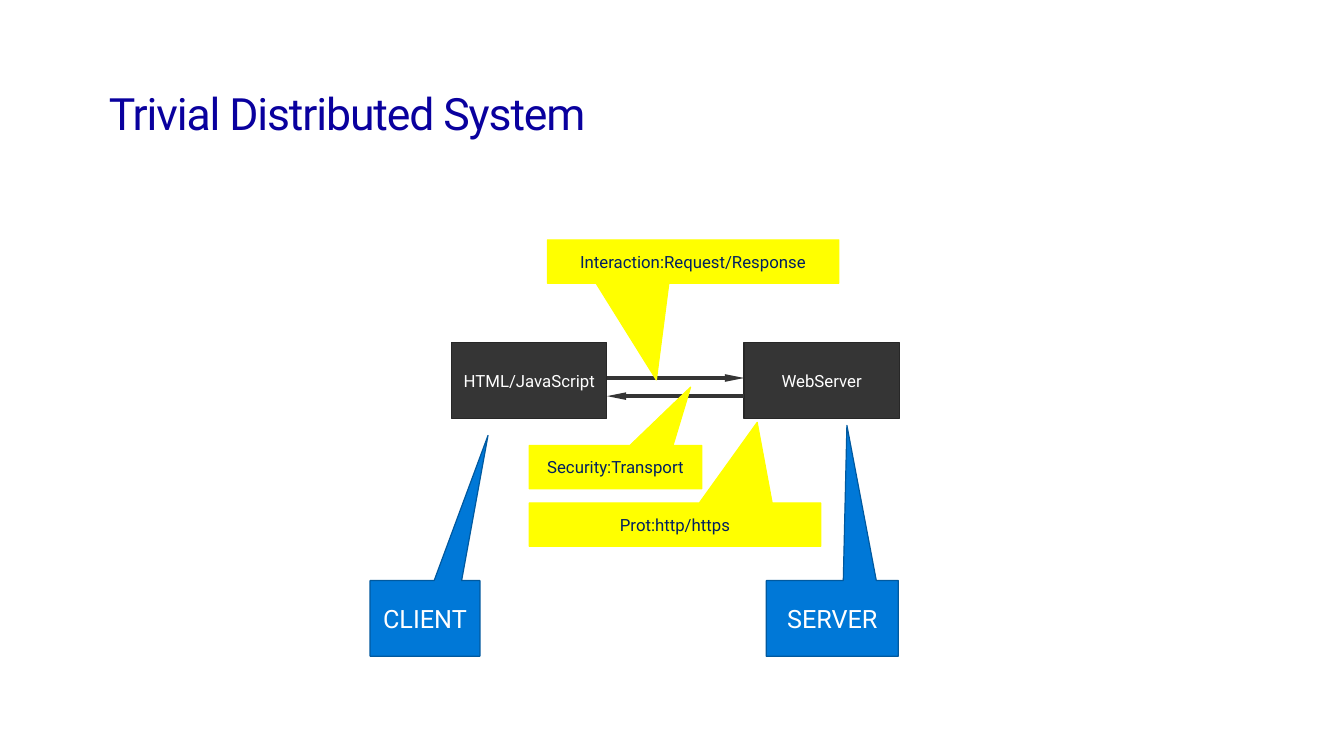
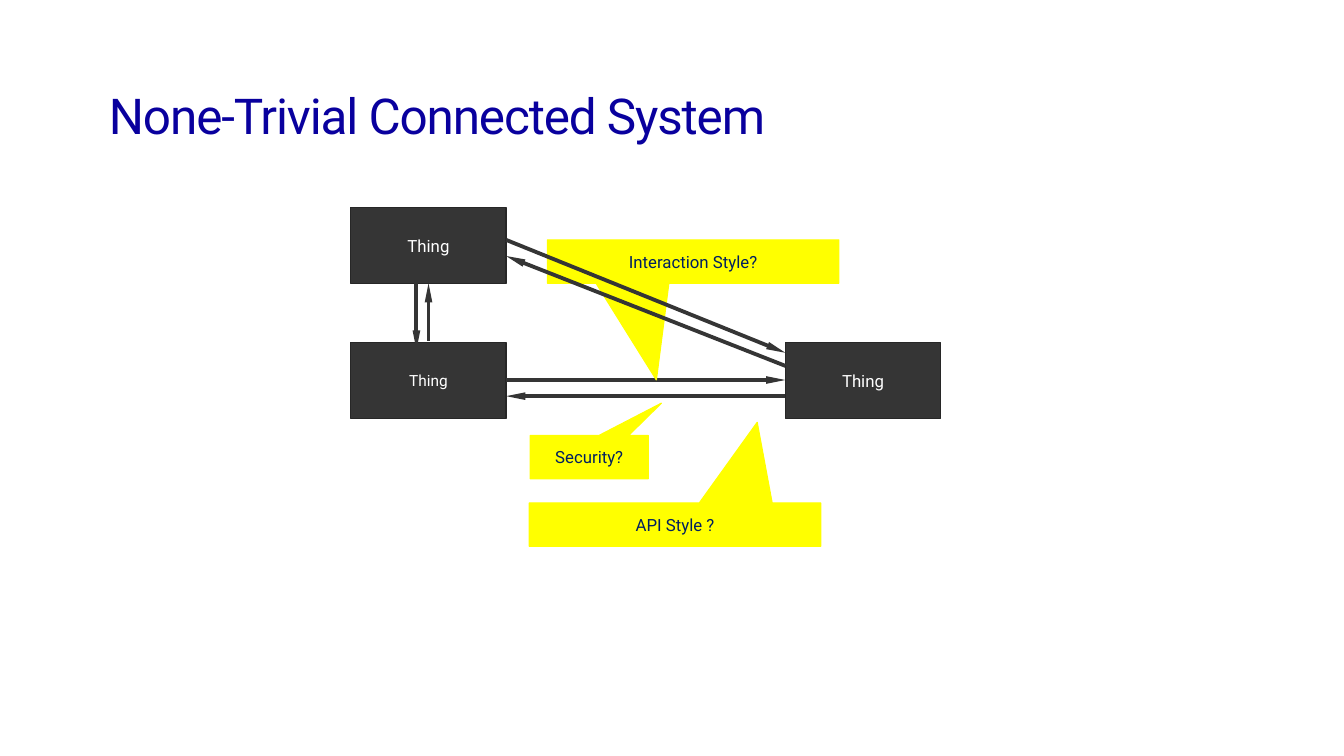
from lxml import etree
from pptx import Presentation
from pptx.dml.color import RGBColor
from pptx.enum.shapes import MSO_CONNECTOR as Link, MSO_SHAPE as Shape
from pptx.enum.text import MSO_ANCHOR as Anchor, MSO_AUTO_SIZE as Fit, PP_ALIGN as Align
from pptx.oxml.ns import qn
from pptx.util import Inches, Pt

FONT = "Roboto"
NAVY, INK, WHITE = "09009E", "002060", "FFFFFF"
DARK, EDGE = "353535", "272727"
YELLOW, BLUE, RIM = "FFFF00", "0078D7", "00599F"
BOX_W, BOX_H = 1.54, 0.75
NOTE_H = 0.43
ROW = 3.4
STYLE_NOTE = (5.43, 2.38, 2.89, NOTE_H)
API_NOTE = (5.25, 4.99, 2.89, NOTE_H)
STYLE_TIP, API_TIP = (6.51, 3.77), (7.51, 4.19)


def color(code):
    return RGBColor.from_string(code)


def format_run(run, size, code):
    run.font.name = FONT
    run.font.size = Pt(size)
    run.font.color.rgb = color(code)


def add_slide(deck, text, size):
    """Add a title-only slide and style its title."""
    slide = deck.slides.add_slide(deck.slide_layouts[5])
    title = slide.shapes.title
    title.left, title.top = Inches(0.92), Inches(0.81)
    title.width, title.height = Inches(11.5), Inches(0.71)
    frame = title.text_frame
    frame.text = text
    frame.auto_size = Fit.NONE
    frame.vertical_anchor = Anchor.TOP
    frame.margin_left = frame.margin_right = Inches(0.16)
    frame.margin_top = frame.margin_bottom = Inches(0.1)
    line = frame.paragraphs[0]
    line.alignment = Align.LEFT
    line.line_spacing = 0.9
    run = line.runs[0]
    format_run(run, size, NAVY)
    run._r.get_or_add_rPr().set("spc", "-80")
    return slide


def add_block(slide, kind, area, text, size, fill, edge, ink):
    """Add a filled shape with centred text."""
    block = slide.shapes.add_shape(kind, *map(Inches, area))
    block.shadow.inherit = False
    block.fill.solid()
    block.fill.fore_color.rgb = color(fill)
    block.line.color.rgb = color(edge)
    block.line.width = Pt(0.85)
    frame = block.text_frame
    frame.word_wrap = True
    frame.vertical_anchor = Anchor.MIDDLE
    frame.margin_left = frame.margin_right = Inches(0.05)
    frame.text = text
    line = frame.paragraphs[0]
    line.alignment = Align.CENTER
    format_run(line.runs[0], size, ink)
    return block


def add_node(slide, left, top, text, size=12):
    area = (left, top, BOX_W, BOX_H)
    add_block(slide, Shape.RECTANGLE, area, text, size, DARK, EDGE, WHITE)


def add_callout(slide, area, tip, text, size=12, fill=YELLOW, edge=YELLOW, ink=INK):
    """Add a callout whose pointer ends at the slide position tip."""
    note = add_block(slide, Shape.RECTANGULAR_CALLOUT, area, text, size, fill, edge, ink)
    left, top, width, height = area
    note.adjustments[0] = (tip[0] - left) / width - 0.5
    note.adjustments[1] = (tip[1] - top) / height - 0.5


def add_role(slide, area, tip, text):
    add_callout(slide, area, tip, text, 18, BLUE, RIM, WHITE)


def add_arrow(slide, start, end):
    """Draw an arrow that points at end."""
    arrow = slide.shapes.add_connector(Link.STRAIGHT, *map(Inches, start + end))
    arrow.line.color.rgb = color(DARK)
    arrow.line.width = Pt(2.75)
    etree.SubElement(arrow.line._get_or_add_ln(), qn("a:tailEnd"),
                     type="triangle", w="sm", len="lg")
    etree.SubElement(arrow._element.spPr, qn("a:effectLst"))


def build_trivial(deck):
    slide = add_slide(deck, "Trivial Distributed System", 31.8)
    client, server = 4.48, 7.38
    near, far = client + BOX_W, server
    add_node(slide, server, ROW, "WebServer")
    add_node(slide, client, ROW, "HTML/JavaScript")
    add_arrow(slide, (near, 3.75), (far, 3.75))
    add_callout(slide, STYLE_NOTE, STYLE_TIP, "Interaction:Request/Response")
    add_arrow(slide, (far, 3.93), (near, 3.93))
    add_callout(slide, API_NOTE, API_TIP, "Prot:http/https")
    add_callout(slide, (5.25, 4.42, 1.71, NOTE_H), (6.85, 3.84), "Security:Transport")
    add_role(slide, (3.67, 5.76, 1.09, BOX_H), (4.84, 4.32), "CLIENT")
    add_role(slide, (7.6, 5.76, 1.31, BOX_H), (8.4, 4.22), "SERVER")


def build_connected(deck):
    slide = add_slide(deck, "None-Trivial Connected System", 35.3)
    left, right, upper = 3.48, 7.79, 2.06
    near, far = left + BOX_W, right
    add_node(slide, right, ROW, "Thing")
    add_node(slide, left, ROW, "Thing", 11)
    add_arrow(slide, (near, 3.77), (far, 3.77))
    add_callout(slide, STYLE_NOTE, STYLE_TIP, "Interaction Style?")
    add_arrow(slide, (far, 3.93), (near, 3.93))
    add_callout(slide, API_NOTE, API_TIP, "API Style ?")
    add_callout(slide, (5.26, 4.32, 1.17, NOTE_H), (6.56, 4), "Security?")
    add_node(slide, left, upper, "Thing")
    add_arrow(slide, (4.13, 2.71), (4.13, 3.47))
    add_arrow(slide, (4.25, 3.38), (4.25, upper + BOX_H))
    add_arrow(slide, (near, 2.38), (far, 3.5))
    add_arrow(slide, (far, 3.63), (near, 2.54))


def main():
    deck = Presentation()
    deck.slide_width, deck.slide_height = Inches(13.33), Inches(7.5)
    build_trivial(deck)
    build_connected(deck)
    deck.save("out.pptx")


if __name__ == "__main__":
    main()
